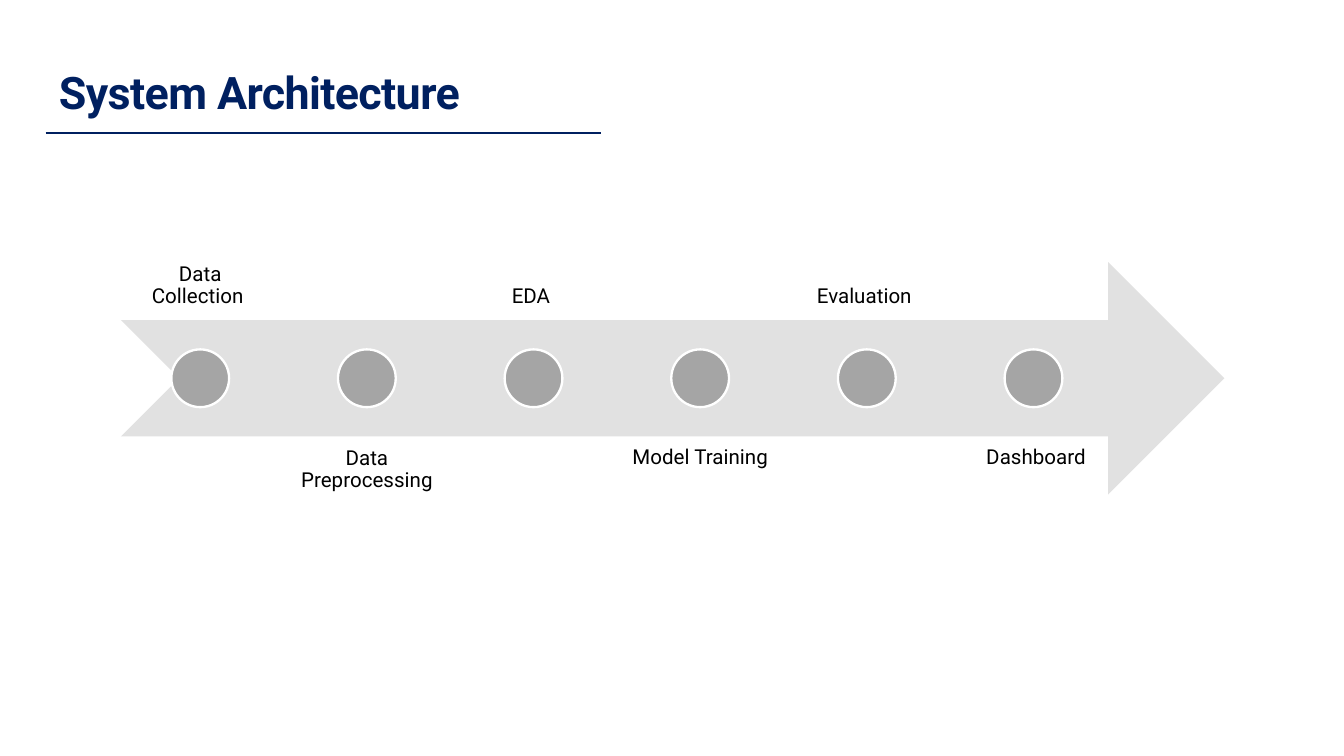
"""Builds the System Architecture slide: six steps along a notched arrow."""
from lxml.etree import SubElement
from pptx import Presentation
from pptx.dml.color import RGBColor
from pptx.enum.shapes import MSO_CONNECTOR, MSO_SHAPE
from pptx.enum.text import MSO_ANCHOR, PP_ALIGN
from pptx.oxml.ns import qn
from pptx.util import Inches, Pt

TITLE = "System Architecture"
STEPS = ["Data Collection ", "Data Preprocessing", "EDA ",
         "Model Training ", "Evaluation ", " Dashboard"]

NAVY = RGBColor(0x00, 0x20, 0x60)
BLACK = RGBColor(0x00, 0x00, 0x00)
WHITE = RGBColor(0xFF, 0xFF, 0xFF)
PALE = RGBColor(0xE1, 0xE1, 0xE1)
GRAY = RGBColor(0xA5, 0xA5, 0xA5)

TITLE_FONT = {"name": "Roboto", "size": Pt(24), "bold": True}
TITLE_FRAME = {"margin_top": Inches(0.04), "vertical_anchor": MSO_ANCHOR.TOP}
LABEL_FONT = {"name": "Roboto", "size": Pt(11)}
LABEL_FRAME = {"margin_left": Inches(0.08), "margin_right": Inches(0.08),
               "margin_top": Inches(0.08), "margin_bottom": Inches(0.09)}

LEFT, PITCH = 0.9, 1.24
LABEL_W, LABEL_H = 1.18, 1.73
ABOVE, BELOW = 0.65, 3.25
DOT, DOT_TOP = 0.43, 2.6


def set_all(obj, values):
    for name, value in values.items():
        setattr(obj, name, value)


def add_text(s, text, box, font, color, frame, align):
    tf = s.shapes.add_textbox(*map(Inches, box)).text_frame
    set_all(tf, {"word_wrap": True, **frame})
    p = tf.paragraphs[0]
    set_all(p, {"alignment": align, "line_spacing": 0.9})
    r = p.add_run()
    r.text = text
    set_all(r.font, font)
    r.font.color.rgb = color
    return r


def add_filled(s, kind, box, color):
    sp = s.shapes.add_shape(kind, *map(Inches, box))
    sp.shadow.inherit = False
    sp.fill.solid()
    sp.fill.fore_color.rgb = color
    sp.line.fill.background()
    return sp


def add_step(s, i, text):
    x = LEFT + i * PITCH
    top, anchor = (BELOW, MSO_ANCHOR.TOP) if i % 2 else (ABOVE, MSO_ANCHOR.BOTTOM)
    add_text(s, text, (x, top, LABEL_W, LABEL_H), LABEL_FONT, BLACK,
             {**LABEL_FRAME, "vertical_anchor": anchor}, PP_ALIGN.CENTER)
    dot_x = x + (LABEL_W - DOT) / 2
    dot = add_filled(s, MSO_SHAPE.OVAL, (dot_x, DOT_TOP, DOT, DOT), GRAY)
    dot.line.color.rgb = WHITE
    dot.line.width = Pt(1.25)


def main():
    prs = Presentation()
    set_all(prs, {"slide_width": Inches(10), "slide_height": Inches(10) * 9 // 16})
    s = prs.slides.add_slide(prs.slide_layouts[6])

    r = add_text(s, TITLE, (0.34, 0.49, 9.32, 0.5), TITLE_FONT, NAVY,
                 TITLE_FRAME, PP_ALIGN.LEFT)
    r.font._element.set("spc", "-35")

    add_filled(s, MSO_SHAPE.NOTCHED_RIGHT_ARROW, (LEFT, 1.95, 8.21, 1.73), PALE)
    for i, text in enumerate(STEPS):
        add_step(s, i, text)

    rule = s.shapes.add_connector(MSO_CONNECTOR.STRAIGHT,
                                  *map(Inches, (0.34, 0.99, 4.47, 0.99)))
    rule.line.color.rgb = NAVY
    rule.line.width = Pt(1)
    SubElement(rule._element.spPr, qn("a:effectLst"))

    prs.save("out.pptx")


if __name__ == "__main__":
    main()
